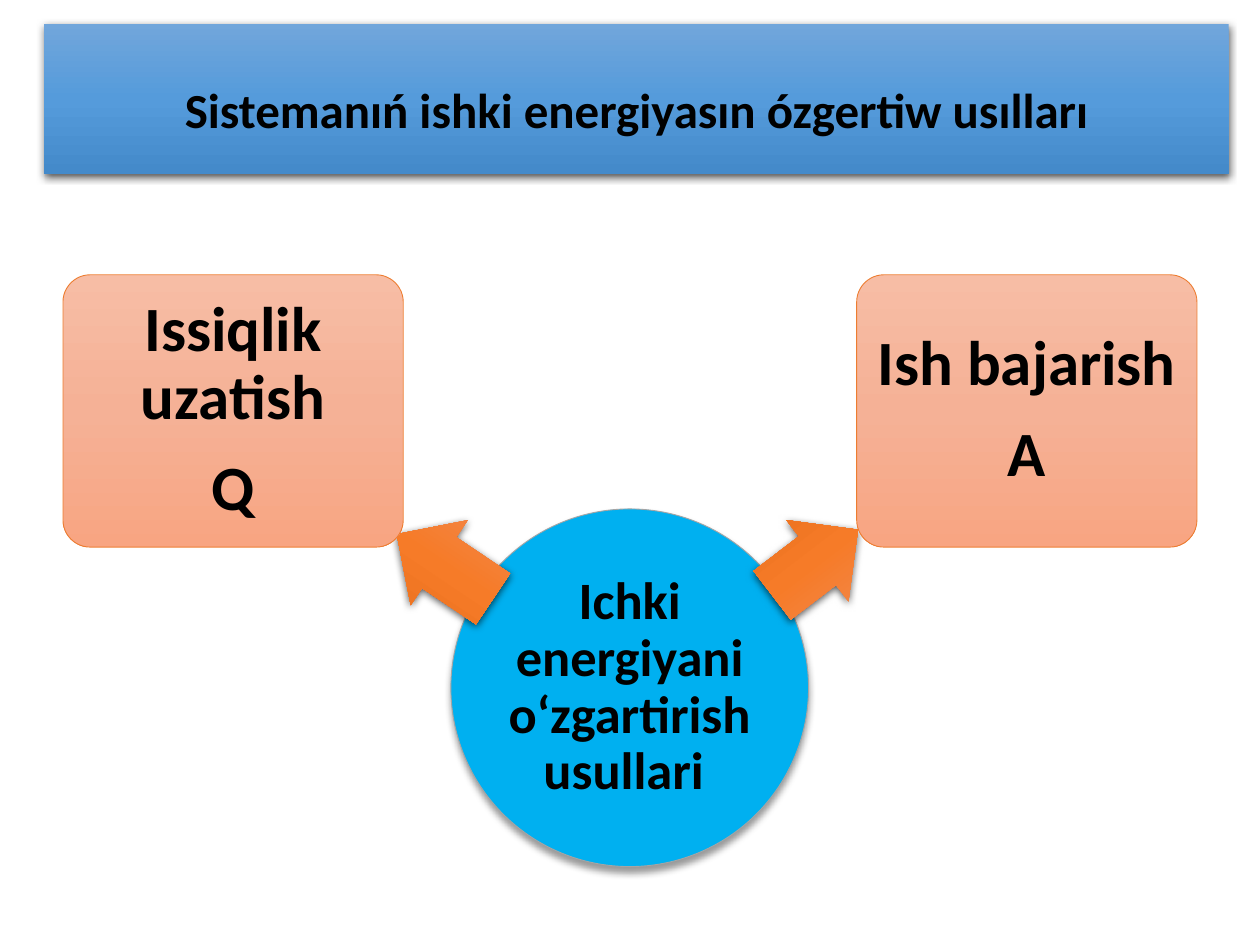
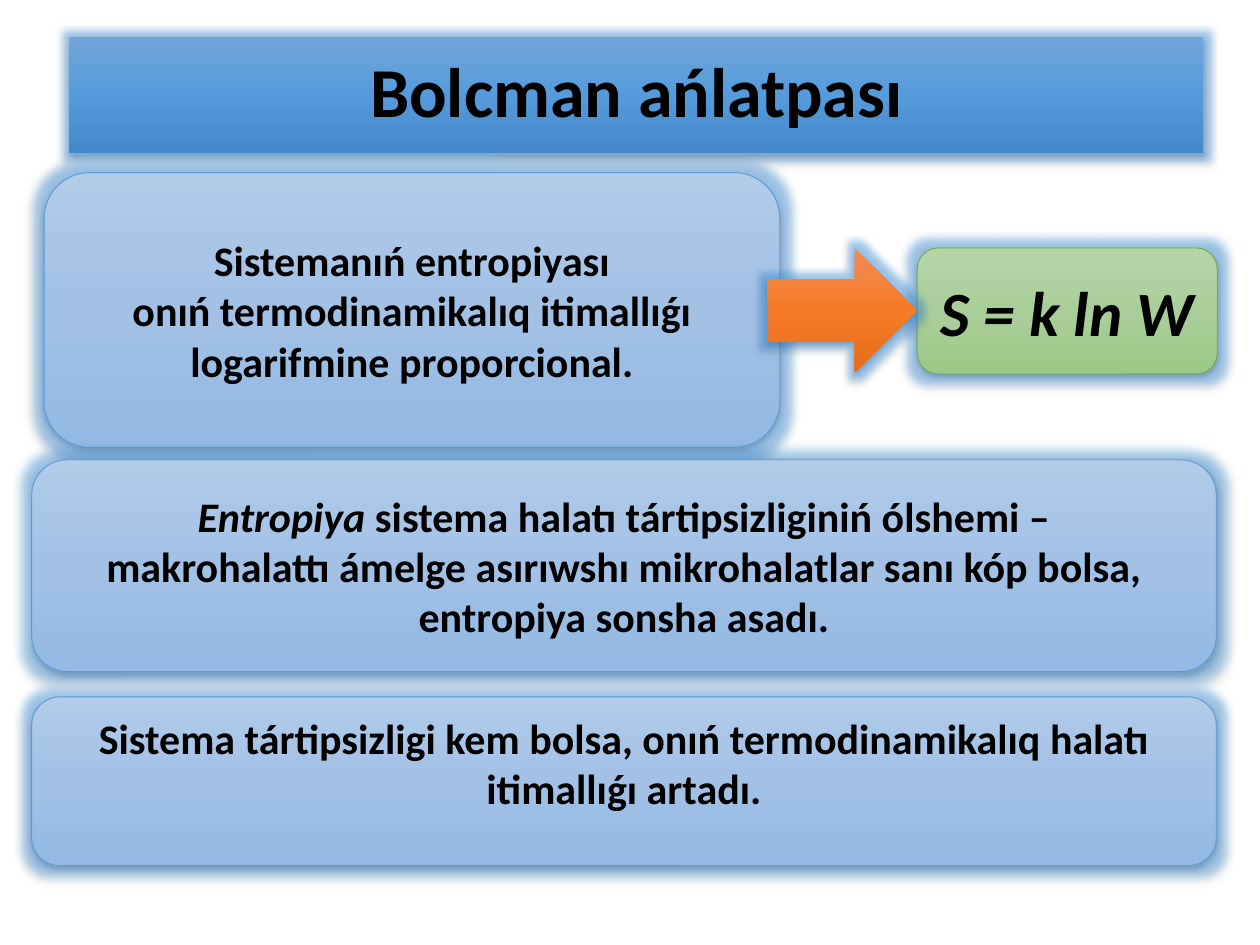
from copy import deepcopy
from dataclasses import dataclass

from lxml import etree
from pptx import Presentation
from pptx.dml.color import RGBColor
from pptx.enum.shapes import MSO_SHAPE
from pptx.enum.text import MSO_ANCHOR, MSO_AUTO_SIZE, PP_ALIGN
from pptx.oxml.ns import qn
from pptx.util import Cm, Pt

ROUND = MSO_SHAPE.ROUNDED_RECTANGLE
OVAL = MSO_SHAPE.OVAL
LEFT = MSO_SHAPE.LEFT_ARROW
RIGHT = MSO_SHAPE.RIGHT_ARROW
MIDDLE = MSO_ANCHOR.MIDDLE
CENTER = PP_ALIGN.CENTER
FIXED = MSO_AUTO_SIZE.NONE

FONT = "Calibri"
TITLE_ONLY = 5
COLORS = {
    "text": "000000",
    "shade": "000000",
    "glow": "3F9CF0",
    "cyan": "00B0F0",
    "gray": "A5A5A5",
    "orange": "ED7D31",
    "blue": "5B9BD5",
    "green": "70AD47",
}
GRADES = {
    "band": ("71A6DB", "559BDB", "448ACA"),
    "arrow": ("F18C57", "F67B28", "E56C19"),
    "peach": ("F7BDA5", "F5B196", "F8A582"),
    "sky": ("B1CBE9", "A3C1E5", "93B9E4"),
    "leaf": ("B5D5A7", "AACE9A", "9CC987"),
}


@dataclass(frozen=True)
class Look:
    """Fill, outline and effects; shadow is (opacity %, blur pt, offset pt), glow is in pt."""
    fill: str
    line: str = ""
    shadow: tuple[float, float, float] | None = None
    glow: float = 0


@dataclass(frozen=True)
class Box:
    left: float
    top: float
    width: float
    height: float


DEEP = (63, 4.5, 1.5)
SOFT = (35, 3.1, 1.8)
PANEL = (38, 3.1, 1.6)

BAND = Look("band", shadow=DEEP)
GLOW_BAND = Look("band", shadow=SOFT, glow=8)
DISC = Look("cyan", "gray", (40, 4, 3))
CARD = Look("peach", "orange")
ARROW = Look("arrow", shadow=DEEP)
GLOW_ARROW = Look("arrow", shadow=SOFT, glow=8)
SKY = Look("sky", "blue", PANEL, 11)
LEAF = Look("leaf", "green", PANEL, 11)


def color(name: str) -> RGBColor:
    return RGBColor.from_string(COLORS[name])


def add_effect(shape, kind: str, tint: str, alpha: float, **attrs) -> None:
    effects = shape._element.spPr.find(qn("a:effectLst"))
    effect = etree.SubElement(effects, qn(f"a:{kind}"))
    for key, value in attrs.items():
        effect.set(key, str(value))
    rgb = etree.SubElement(effect, qn("a:srgbClr"), val=COLORS[tint])
    etree.SubElement(rgb, qn("a:alpha"), val=str(int(alpha * 1000)))


def shade(shape, hues: tuple[str, ...]) -> None:
    """Fill with evenly spaced colours from top to bottom."""
    fill = shape.fill
    fill.gradient()
    fill.gradient_angle = 270
    stops = shape._element.spPr.find(qn("a:gradFill")).find(qn("a:gsLst"))
    stops.insert(1, deepcopy(stops[0]))
    for i, (stop, hue) in enumerate(zip(fill.gradient_stops, hues)):
        stop.position = i / (len(hues) - 1)
        stop.color.rgb = RGBColor.from_string(hue)


def dress(shape, look: Look) -> None:
    if look.fill in GRADES:
        shade(shape, GRADES[look.fill])
    else:
        shape.fill.solid()
        shape.fill.fore_color.rgb = color(look.fill)
    if look.line:
        shape.line.color.rgb = color(look.line)
        shape.line.width = Pt(0.5)
    else:
        shape.line.fill.background()
    shape.shadow.inherit = False
    if look.glow:
        add_effect(shape, "glow", "glow", 40, rad=Pt(look.glow))
    if look.shadow:
        alpha, blur, drop = look.shadow
        add_effect(shape, "outerShdw", "shade", alpha, blurRad=Pt(blur),
                   dist=Pt(drop), dir=90 * 60000, algn="ctr", rotWithShape=0)


def write(shape, *lines: str, size: float = 24, spacing: float = 1, gap: float = 0,
          side: float = 0.25, top: float = 0.13, foot: float = 0.13) -> None:
    """Write centred bold paragraphs; words between asterisks are italic."""
    frame = shape.text_frame
    frame.word_wrap = True
    frame.auto_size = FIXED
    frame.vertical_anchor = MIDDLE
    frame.margin_left = frame.margin_right = Cm(side)
    frame.margin_top, frame.margin_bottom = Cm(top), Cm(foot)
    for i, line in enumerate(lines):
        para = frame.add_paragraph() if i else frame.paragraphs[0]
        para.alignment = CENTER
        para.line_spacing = spacing
        para.space_before = Pt(0)
        para.space_after = Pt(gap if i < len(lines) - 1 else 0)
        for j, part in enumerate(line.split("*")):
            if not part:
                continue
            run = para.add_run()
            run.text = part
            font = run.font
            font.name, font.size, font.bold = FONT, Pt(size), True
            font.italic = j % 2 == 1
            font.color.rgb = color("text")


def add_block(slide, kind, box: Box, look: Look, turn: float = 0,
              adjust: tuple[float, ...] = ()):
    shape = slide.shapes.add_shape(kind, Cm(box.left), Cm(box.top),
                                   Cm(box.width), Cm(box.height))
    shape.rotation = turn
    for i, value in enumerate(adjust):
        shape.adjustments[i] = value
    dress(shape, look)
    return shape


def add_page(deck, title: str, box: Box, look: Look, **style):
    slide = deck.slides.add_slide(deck.slide_layouts[TITLE_ONLY])
    band = slide.shapes.title
    band.left, band.top = Cm(box.left), Cm(box.top)
    band.width, band.height = Cm(box.width), Cm(box.height)
    dress(band, look)
    write(band, title, **style)
    return slide


def build_methods(deck) -> None:
    slide = add_page(deck, "Sistemanıń ishki energiyasın ózgertiw usılları",
                     Box(0.89, 0.48, 23.88, 3.02), BAND, size=28, top=0.55)
    disc = add_block(slide, OVAL, Box(9.09, 10.26, 7.21, 7.21), DISC)
    write(disc, "Ichki energiyani o‘zgartirish usullari ", size=30,
          spacing=0.9, side=0.05, top=0.05, foot=0.05)
    branches = (
        (Box(7.8, 10.39, 2.34, 2.06), 33.9, 1.27, ("Issiqlik uzatish", "Q")),
        (Box(15.34, 10.31, 2.18, 2.06), 142.6, 17.27, ("Ish bajarish", "А")),
    )
    for arrow, turn, left, lines in branches:
        add_block(slide, LEFT, arrow, ARROW, turn, (0.6, 0.5))
        card = add_block(slide, ROUND, Box(left, 5.54, 6.86, 5.49), CARD, adjust=(0.1,))
        write(card, *lines, size=36, spacing=0.9, gap=13,
              side=0.18, top=0.18, foot=0.18)


def build_formula(deck) -> None:
    slide = add_page(deck, "Bolcman ańlatpası", Box(1.4, 0.74, 22.86, 2.34),
                     GLOW_BAND, size=40, spacing=0.9)
    panels = (
        (Box(0.89, 3.48, 14.83, 5.54), SKY, {},
         ("Sistemanıń entropiyası",
          "onıń termodinamikalıq itimallıǵı logarifmine proporcional.")),
        (Box(0.64, 9.27, 23.88, 4.27), SKY, {},
         ("*Entropiya* sistema halatı tártipsizliginiń ólshemi –",
          "makrohalattı ámelge asırıwshı mikrohalatlar sanı kóp bolsa, "
          "entropiya sonsha asadı.")),
        (Box(0.64, 14.05, 23.88, 3.4), SKY, {"foot": 0.89},
         ("Sistema tártipsizligi kem bolsa, onıń termodinamikalıq halatı "
          "itimallıǵı artadı.",)),
        (Box(18.49, 5, 6.05, 2.54), LEAF, {"size": 36}, ("*S = k ln W*",)),
    )
    for box, look, style, lines in panels:
        write(add_block(slide, ROUND, box, look), *lines, **style)
    add_block(slide, RIGHT, Box(15.47, 5, 3.02, 2.51), GLOW_ARROW)


def main() -> None:
    deck = Presentation()
    deck.slide_width, deck.slide_height = Cm(25.4), Cm(19.05)
    build_methods(deck)
    build_formula(deck)
    deck.save("out.pptx")


if __name__ == "__main__":
    main()
